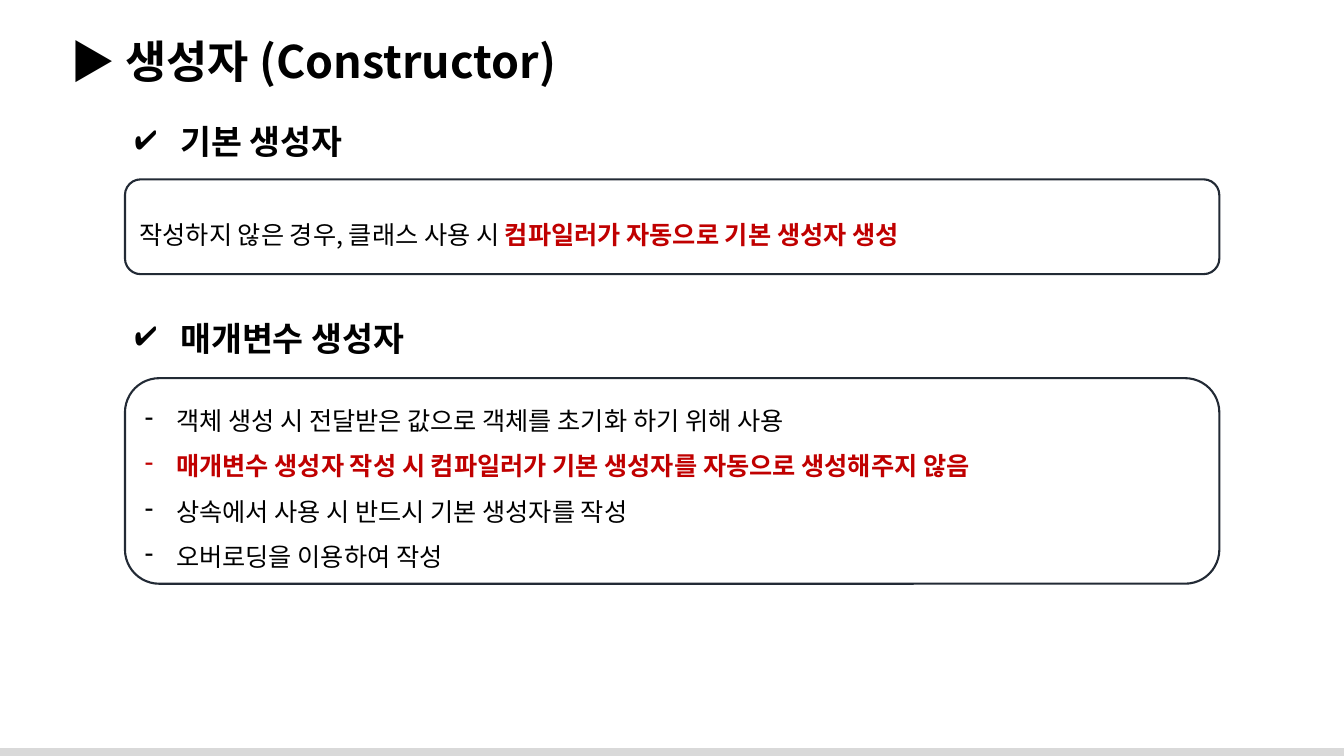
from lxml import etree
from pptx import Presentation
from pptx.dml.color import RGBColor
from pptx.enum.shapes import MSO_SHAPE
from pptx.enum.text import MSO_ANCHOR, MSO_AUTO_SIZE, PP_ALIGN
from pptx.oxml.ns import qn
from pptx.util import Cm, Pt

RECTANGLE = MSO_SHAPE.RECTANGLE
ROUNDED = MSO_SHAPE.ROUNDED_RECTANGLE
TOP, MIDDLE = MSO_ANCHOR.TOP, MSO_ANCHOR.MIDDLE
NO_FIT = MSO_AUTO_SIZE.NONE
LEFT = PP_ALIGN.LEFT

BLACK = RGBColor(0x00, 0x00, 0x00)
RED = RGBColor(0xC0, 0x00, 0x00)
NAVY = RGBColor(0x22, 0x2A, 0x35)
GREY = RGBColor(0xD9, 0xD9, 0xD9)
FONT = "Noto Sans CJK KR"

MARGIN = 3.15
PANEL_WIDTH = 27.58


def add_text(para, text, size=18, color=BLACK, bold=False):
    span = para.add_run()
    span.text = text
    span.font.size = Pt(size)
    span.font.bold = bold
    span.font.color.rgb = color
    span.font.name = FONT
    latin = span.font._element.find(qn("a:latin"))
    east_asian = etree.Element(qn("a:ea"), typeface=FONT)
    latin.addnext(east_asian)


def add_bullet(para, mark, indent, color=BLACK):
    properties = para._p.get_or_add_pPr()
    properties.set("marL", str(Cm(indent)))
    properties.set("indent", str(-Cm(indent)))
    bullet_color = etree.SubElement(properties, qn("a:buClr"))
    etree.SubElement(bullet_color, qn("a:srgbClr"), val=str(color))
    etree.SubElement(properties, qn("a:buChar"), char=mark)


class SlideBuilder:
    def __init__(self, deck):
        self.slide = deck.slides.add_slide(deck.slide_layouts[5])

    def prepare(self, box, anchor):
        frame = box.text_frame
        frame.word_wrap = True
        frame.auto_size = NO_FIT
        frame.vertical_anchor = anchor
        frame.margin_left = frame.margin_right = Cm(0.25)
        frame.margin_top = frame.margin_bottom = Cm(0.13)
        frame.paragraphs[0].alignment = LEFT
        return frame

    def title(self, text):
        box = self.slide.shapes.title
        box.left, box.top, box.width, box.height = Cm(1.52), Cm(0.71), Cm(32), Cm(1.62)
        frame = self.prepare(box, TOP)
        add_text(frame.paragraphs[0], text, size=32, bold=True)

    def footer_bar(self):
        bar = self.slide.shapes.add_shape(RECTANGLE, 0, Cm(18.85), Cm(33.87), Cm(0.2))
        bar.shadow.inherit = False
        bar.fill.solid()
        bar.fill.fore_color.rgb = GREY
        bar.line.fill.background()

    def heading(self, text, top, width):
        box = self.slide.shapes.add_textbox(Cm(MARGIN), Cm(top), Cm(width), Cm(1.28))
        para = self.prepare(box, TOP).paragraphs[0]
        add_bullet(para, "✔", 0.95)
        add_text(para, text, size=24, bold=True)

    def panel(self, top, height, lines, bulleted=False):
        box = self.slide.shapes.add_shape(
            ROUNDED, Cm(MARGIN), Cm(top), Cm(PANEL_WIDTH), Cm(height))
        box.shadow.inherit = False
        box.fill.background()
        box.line.color.rgb = NAVY
        box.line.width = Pt(1.5)
        frame = self.prepare(box, MIDDLE)
        for index, spans in enumerate(lines):
            para = frame.add_paragraph() if index else frame.paragraphs[0]
            para.alignment = LEFT
            para.line_spacing = 1.5
            if bulleted:
                add_bullet(para, "-", 0.79, RED if spans[0][1] else BLACK)
            for text, important in spans:
                add_text(para, text, color=RED if important else BLACK, bold=important)


def main():
    deck = Presentation()
    deck.slide_width, deck.slide_height = Cm(33.87), Cm(19.05)
    page = SlideBuilder(deck)
    page.footer_bar()
    page.title("▶ 생성자 (Constructor)")
    page.heading(" 기본 생성자", 2.92, 6.65)
    page.panel(4.52, 2.39, [
        [("작성하지 않은 경우, 클래스 사용 시 ", False),
         ("컴파일러가 자동으로 기본 생성자 생성", True)],
    ])
    page.heading(" 매개변수 생성자", 7.87, 8.08)
    page.panel(9.53, 5.18, [
        [("객체 생성 시 전달받은 값으로 객체를 초기화 하기 위해 사용", False)],
        [("매개변수 생성자 작성 시 컴파일러가 기본 생성자를 자동으로 생성해주지 않음", True)],
        [("상속에서 사용 시 반드시 기본 생성자를 작성", False)],
        [("오버로딩을 이용하여 작성", False)],
    ], bulleted=True)
    deck.save("out.pptx")


if __name__ == "__main__":
    main()
